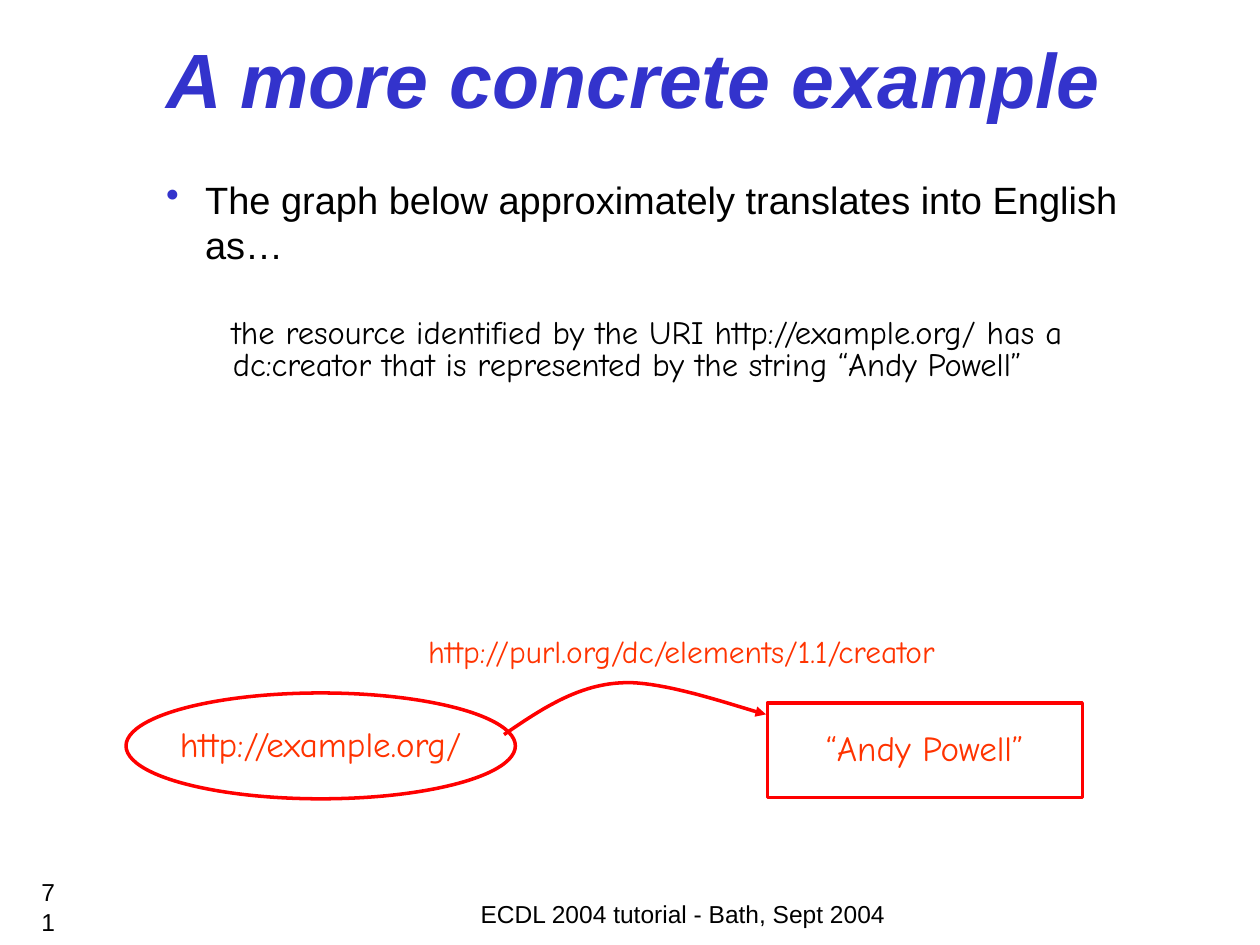
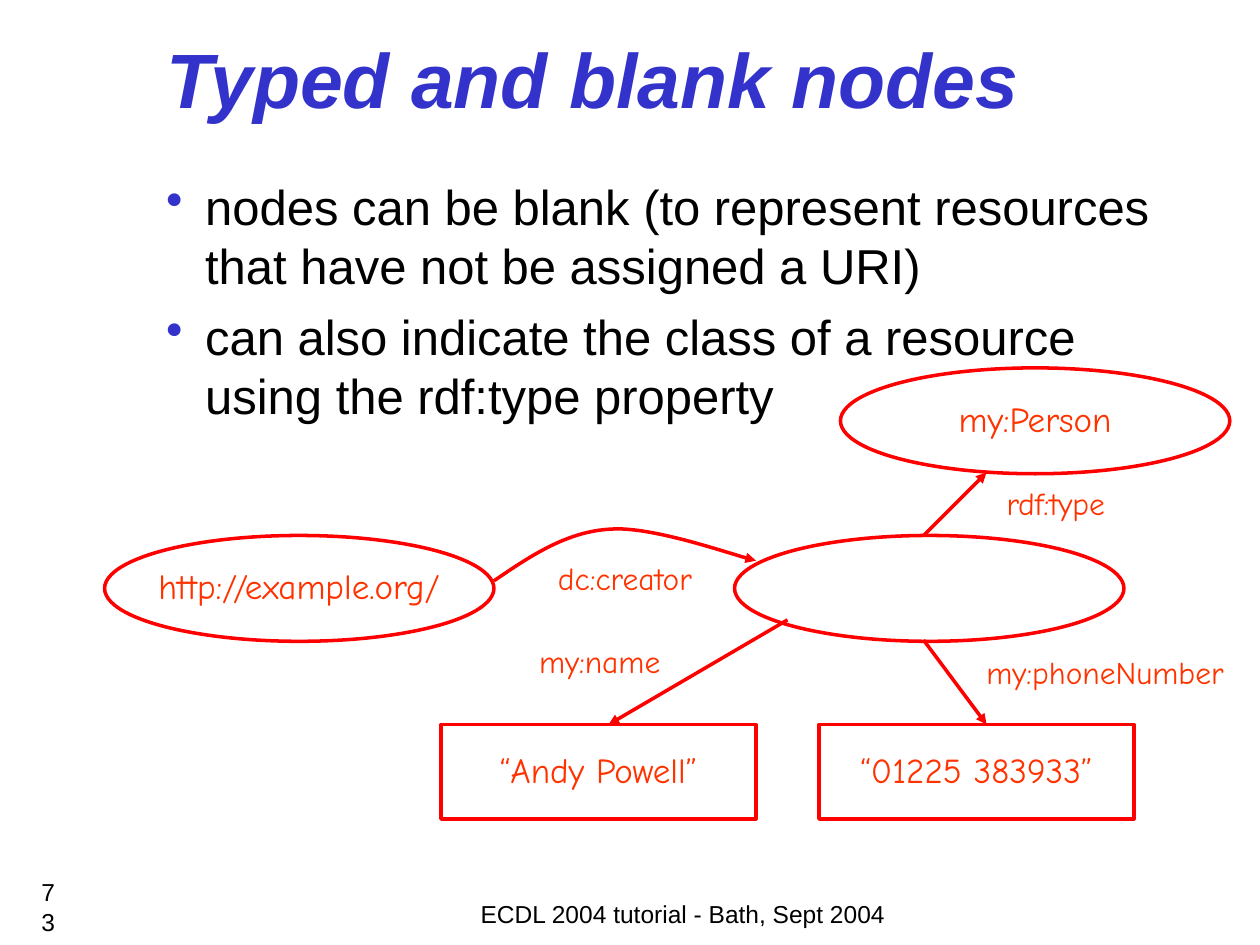
from dataclasses import dataclass

from lxml.etree import SubElement
from pptx import Presentation
from pptx.dml.color import RGBColor
from pptx.enum.shapes import MSO_CONNECTOR as Link, MSO_SHAPE as Form
from pptx.enum.text import MSO_ANCHOR as Anchor, MSO_AUTO_SIZE as Fit, PP_ALIGN as Align
from pptx.oxml.ns import qn
from pptx.util import Inches, Pt

BLUE, BLACK, RED, ORANGE = "3333CC", "000000", "FF0000", "FF3300"
SANS, HAND = "Arial", "Comic Neue"
FOOTER = "ECDL 2004 tutorial - Bath, Sept 2004"
SIZES = {Form.OVAL: (3.09, 0.84), Form.RECTANGLE: (2.5, 0.75)}
# Two joined Bézier arcs, as offsets from the start of the arrow
ARCS = (
    ((0, 0), (0.28, -0.19), (0.57, -0.39), (0.92, -0.41)),
    ((0.92, -0.41), (1.26, -0.44), (1.94, -0.19), (2.08, -0.16)),
)
STEPS = 24


@dataclass
class Para:
    text: str
    size: float
    font: str = SANS
    color: str = BLACK
    align: Align = Align.LEFT
    before: float = 0
    spacing: float = 1
    left: float = 0
    hang: float = 0
    bullet: bool = False
    bold: bool = False


@dataclass
class Node:
    form: Form
    x: float
    y: float
    text: str = ""


@dataclass
class Label:
    x: float
    y: float
    width: float
    text: str


@dataclass
class Arrow:
    start: tuple[float, float]
    end: tuple[float, float]


@dataclass
class Page:
    number: int
    title: str
    width: float
    height: float
    body: list[Para]
    nodes: list[Node]
    labels: list[Label]
    curve: tuple[float, float]
    arrows: list[Arrow]


def paint(code: str) -> RGBColor:
    return RGBColor.from_string(code)


def write(frame, paras: list[Para], anchor=Anchor.TOP, wrap: bool = True) -> None:
    frame.word_wrap = wrap
    frame.vertical_anchor = anchor
    for i, item in enumerate(paras):
        para = frame.add_paragraph() if i else frame.paragraphs[0]
        para.text = item.text
        para.alignment = item.align
        para.line_spacing = item.spacing
        para.space_before = Pt(item.before)
        props = para._p.get_or_add_pPr()
        props.set("marL", str(Inches(item.left)))
        props.set("indent", str(Inches(item.hang)))
        if item.bullet:
            tint = SubElement(props, qn("a:buClr"))
            SubElement(tint, qn("a:srgbClr")).set("val", BLUE)
            SubElement(props, qn("a:buChar")).set("char", "•")
        font = para.font
        font.name, font.size = item.font, Pt(item.size)
        font.bold = font.italic = item.bold
        font.color.rgb = paint(item.color)


def add_text(slide, x: float, y: float, w: float, h: float, paras: list[Para],
             anchor=Anchor.TOP, wrap: bool = True):
    box = slide.shapes.add_textbox(Inches(x), Inches(y), Inches(w), Inches(h))
    write(box.text_frame, paras, anchor, wrap)
    return box


def stroke(shape) -> None:
    shape.line.color.rgb = paint(RED)
    shape.line.width = Pt(2)


def add_head(shape) -> None:
    """Put a triangle at the end of the line."""
    line = shape.element.spPr.find(qn("a:ln"))
    SubElement(line, qn("a:tailEnd")).set("type", "triangle")


def add_node(slide, node: Node) -> None:
    w, h = SIZES[node.form]
    shape = slide.shapes.add_shape(
        node.form, Inches(node.x), Inches(node.y), Inches(w), Inches(h))
    shape.shadow.inherit = False
    shape.fill.background()
    stroke(shape)
    if node.text:
        para = Para(node.text, 20, HAND, ORANGE, Align.CENTER, spacing=0.9)
        write(shape.text_frame, [para], Anchor.MIDDLE, wrap=False)


def add_label(slide, label: Label) -> None:
    para = Para(label.text, 18, HAND, ORANGE, spacing=0.9)
    box = add_text(slide, label.x, label.y, label.width, 0.37, [para], wrap=False)
    box.text_frame.auto_size = Fit.SHAPE_TO_FIT_TEXT


def add_arrow(slide, arrow: Arrow) -> None:
    ends = [Inches(v) for v in arrow.start + arrow.end]
    line = slide.shapes.add_connector(Link.STRAIGHT, *ends)
    stroke(line)
    add_head(line)
    SubElement(line.element.spPr, qn("a:effectLst"))


def blend(arc, t: float) -> tuple[float, float]:
    """Return the point at t on a cubic Bézier arc."""
    u = 1 - t
    parts = (u ** 3, 3 * u * u * t, 3 * u * t * t, t ** 3)
    x, y = (sum(p * v for p, v in zip(parts, axis)) for axis in zip(*arc))
    return x, y


def add_curve(slide, start: tuple[float, float]) -> None:
    x, y = start
    spots = [blend(arc, i / STEPS) for arc in ARCS for i in range(1, STEPS + 1)]
    pen = slide.shapes.build_freeform(Inches(x), Inches(y))
    pen.add_line_segments([(Inches(x + dx), Inches(y + dy)) for dx, dy in spots], close=False)
    shape = pen.convert_to_shape()
    shape.shadow.inherit = False
    shape.fill.background()
    stroke(shape)
    add_head(shape)


def add_page(deck, page: Page) -> None:
    slide = deck.slides.add_slide(deck.slide_layouts[6])
    title = Para(page.title, 44, color=BLUE, bold=True)
    add_text(slide, 1.22, 0.2, 7.77, 0.83, [title], Anchor.MIDDLE)
    add_text(slide, 1.22, 1.35, page.width, page.height, page.body)
    for node in page.nodes:
        add_node(slide, node)
    for label in page.labels:
        add_label(slide, label)
    add_curve(slide, page.curve)
    for arrow in page.arrows:
        add_arrow(slide, arrow)
    foot = Para(FOOTER, 14, align=Align.CENTER)
    add_text(slide, 3.42, 7.17, 4, 0.17, [foot], Anchor.MIDDLE)
    count = Para(str(page.number), 14, align=Align.RIGHT)
    add_text(slide, 0.23, 7.03, 0.25, 0.33, [count], Anchor.MIDDLE)


def point(text: str, size: float, before: float = 0) -> Para:
    return Para(text, size, before=before, left=0.31, hang=-0.31, bullet=True)


PAGES = [
    Page(
        71, "A more concrete example", 7.77, 1.98,
        body=[
            point("The graph below approximately translates into English as…", 21.7),
            Para("the resource identified by the URI http://example.org/ has a dc:creator "
                 "that is represented by the string “Andy Powell”",
                 18.6, HAND, before=30, spacing=0.8, left=0.53, hang=-0.01),
        ],
        nodes=[
            Node(Form.OVAL, 1, 5.5, "http://example.org/"),
            Node(Form.RECTANGLE, 6.09, 5.58, "“Andy Powell”"),
        ],
        labels=[Label(3.3, 5, 4.35, "http://purl.org/dc/elements/1.1/creator")],
        curve=(4, 5.83),
        arrows=[],
    ),
    Page(
        73, "Typed and blank nodes", 8.28, 2.98,
        body=[
            point("nodes can be blank (to represent resources that have not be "
                  "assigned a URI)", 28),
            point("can also indicate the class of a resource using the rdf:type "
                  "property", 28, before=7),
        ],
        nodes=[
            Node(Form.OVAL, 0.83, 4.25, "http://example.org/"),
            Node(Form.OVAL, 5.83, 4.25),
            Node(Form.OVAL, 6.67, 2.92, "my:Person"),
            Node(Form.RECTANGLE, 3.5, 5.75, "“Andy Powell”"),
            Node(Form.RECTANGLE, 6.5, 5.75, "“01225 383933”"),
        ],
        labels=[
            Label(4.33, 4.42, 1.28, "dc:creator"),
            Label(7.73, 5.17, 2.09, "my:phoneNumber"),
            Label(4.18, 5.08, 1.17, "my:name"),
            Label(7.89, 3.83, 0.99, "rdf:type"),
        ],
        curve=(3.92, 4.61),
        arrows=[
            Arrow((6.25, 4.92), (4.83, 5.75)),
            Arrow((7.33, 5.08), (7.83, 5.75)),
            Arrow((7.33, 4.25), (7.83, 3.75)),
        ],
    ),
]


def main() -> None:
    deck = Presentation()
    deck.slide_width, deck.slide_height = Inches(10), Inches(7.5)
    for page in PAGES:
        add_page(deck, page)
    deck.save("out.pptx")


if __name__ == "__main__":
    main()
